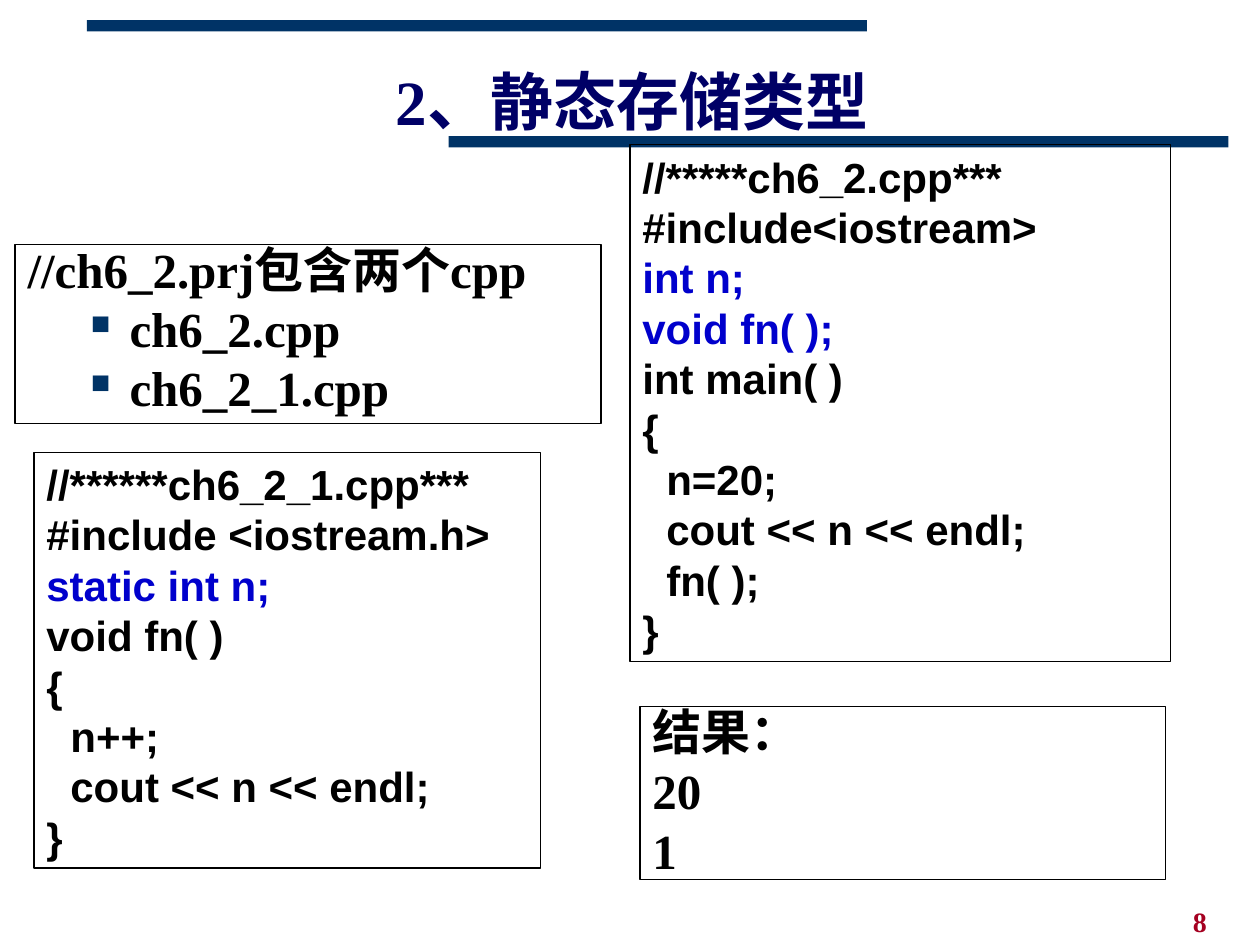
from lxml import etree
from pptx import Presentation
from pptx import util as u
from pptx.dml.color import RGBColor
from pptx.enum import shapes, text
from pptx.oxml.ns import qn

NAVY, BLACK, BLUE = "003366", "000000", "0000CC"
SERIF, SANS = "Times New Roman", "Arial"
HANGING = (0.38, -0.38)
LIST_SPACING = {"line_spacing": 0.8, "space_before": u.Pt(7)}

MAIN_CODE = [
    ("//*****ch6_2.cpp***", BLACK, 0),
    ("#include<iostream>", BLACK, 0),
    ("int n;", BLUE, 0),
    ("void fn( );", BLUE, 0),
    ("int main( )", BLACK, 0),
    ("{", BLACK, 0),
    ("n=20;", BLACK, 1),
    ("cout << n << endl;", BLACK, 1),
    ("fn( );", BLACK, 1),
    ("}", BLACK, 0),
]
FUNCTION_CODE = [
    ("//******ch6_2_1.cpp***", BLACK, 0),
    ("#include <iostream.h>", BLACK, 0),
    ("static int n;", BLUE, 0),
    ("void fn( )", BLACK, 0),
    ("{", BLACK, 0),
    ("n++;", BLACK, 1),
    ("cout << n << endl;", BLACK, 1),
    ("}", BLACK, 0),
]


def color(value):
    return RGBColor.from_string(value)


def set_attributes(target, values):
    for name, value in values.items():
        setattr(target, name, value)


def place(shape, left, top, width, height):
    values = {"left": left, "top": top, "width": width, "height": height}
    set_attributes(shape, {name: u.Inches(value) for name, value in values.items()})


def prepare_frame(shape, anchor=text.MSO_ANCHOR.TOP):
    set_attributes(shape.text_frame, {
        "word_wrap": True,
        "auto_size": text.MSO_AUTO_SIZE.NONE,
        "vertical_anchor": anchor,
    })


def write_paragraph(paragraph, wording, font, size, font_color=BLACK,
                    indent=(0, 0), **spacing):
    """Fill a paragraph; indent is (left margin, first line) in inches."""
    set_attributes(paragraph, {"alignment": text.PP_ALIGN.LEFT, **spacing})
    properties = paragraph._p.get_or_add_pPr()
    for name, value in zip(("marL", "indent"), indent):
        properties.set(name, str(u.Inches(value)))
    run = paragraph.add_run()
    run.text = wording
    set_attributes(run.font, {"name": font, "size": u.Pt(size), "bold": True})
    run.font.color.rgb = color(font_color)


def next_paragraph(frame):
    first = frame.paragraphs[0]
    return frame.add_paragraph() if first.runs else first


def add_bullet(paragraph):
    properties = paragraph._p.get_or_add_pPr()
    bullet_color = etree.SubElement(properties, qn("a:buClr"))
    etree.SubElement(bullet_color, qn("a:srgbClr"), val=NAVY)
    etree.SubElement(properties, qn("a:buSzPct"), val="55000")
    etree.SubElement(properties, qn("a:buChar"), char="■")


def add_bar(slide, left, top):
    bar = slide.shapes.add_shape(shapes.MSO_SHAPE.RECTANGLE, 0, 0, 0, 0)
    place(bar, left, top, 6.19, 0.09)
    bar.shadow.inherit = False
    bar.fill.solid()
    bar.fill.fore_color.rgb = color(NAVY)
    bar.line.fill.background()


def add_outlined_box(slide, *bounds):
    box = slide.shapes.add_shape(shapes.MSO_SHAPE.RECTANGLE, 0, 0, 0, 0)
    place(box, *bounds)
    box.shadow.inherit = False
    box.fill.background()
    box.line.color.rgb = color(BLACK)
    box.line.width = u.Pt(0.75)
    prepare_frame(box)
    return box.text_frame


def add_code(slide, bounds, lines):
    """Add a listing; each line is (wording, colour, nesting depth)."""
    frame = add_outlined_box(slide, *bounds)
    for wording, line_color, depth in lines:
        write_paragraph(next_paragraph(frame), wording, SANS, 24, line_color,
                        indent=(0.19 * depth, 0))


def add_file_list(slide):
    frame = add_outlined_box(slide, 0.12, 1.94, 4.65, 1.42)
    write_paragraph(next_paragraph(frame), "//ch6_2.prj包含两个cpp", SERIF, 28,
                    indent=HANGING, **LIST_SPACING)
    for file_name in ("ch6_2.cpp", "ch6_2_1.cpp"):
        paragraph = next_paragraph(frame)
        write_paragraph(paragraph, file_name, SERIF, 28,
                        indent=(0.81, -0.31), **LIST_SPACING)
        add_bullet(paragraph)


def add_result(slide):
    frame = add_outlined_box(slide, 5.08, 5.61, 4.17, 1.37)
    for wording, font in (("结果：", SANS), ("20", SERIF), ("1", SERIF)):
        write_paragraph(next_paragraph(frame), wording, font, 28,
                        indent=HANGING, **LIST_SPACING)


def set_title(slide, wording):
    title = slide.shapes.title
    place(title, 2.09, 0.36, 5.85, 0.96)
    prepare_frame(title, text.MSO_ANCHOR.MIDDLE)
    write_paragraph(title.text_frame.paragraphs[0], wording, SERIF, 36, "000066",
                    alignment=text.PP_ALIGN.CENTER, line_spacing=0.85)


def add_page_number(slide, number):
    box = slide.shapes.add_textbox(0, 0, 0, 0)
    place(box, 9.37, 7.13, 0.63, 0.37)
    prepare_frame(box)
    write_paragraph(box.text_frame.paragraphs[0], number, SERIF, 16, "A50021",
                    space_before=u.Pt(10))


def main():
    presentation = Presentation()
    presentation.slide_width = u.Inches(10)
    presentation.slide_height = u.Inches(7.5)
    slide = presentation.slides.add_slide(presentation.slide_layouts[5])
    add_bar(slide, 0.69, 0.16)
    add_bar(slide, 3.56, 1.08)
    add_page_number(slide, "8")
    set_title(slide, "2、静态存储类型")
    add_file_list(slide)
    add_code(slide, (5, 1.15, 4.29, 4.1), MAIN_CODE)
    add_code(slide, (0.27, 3.59, 4.02, 3.3), FUNCTION_CODE)
    add_result(slide)
    presentation.save("out.pptx")


if __name__ == "__main__":
    main()
